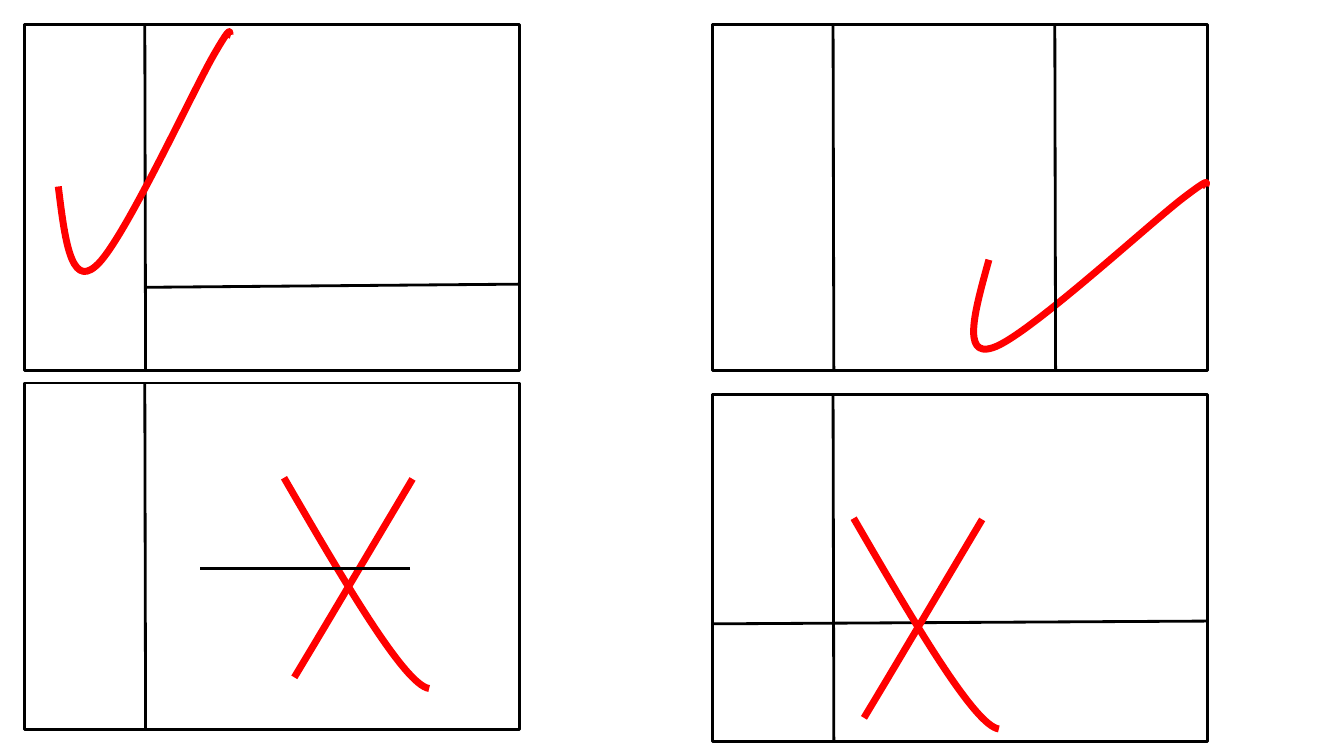
from dataclasses import dataclass

from lxml.etree import SubElement
from pptx import Presentation
from pptx.dml.color import RGBColor
from pptx.enum.shapes import MSO_CONNECTOR, MSO_SHAPE
from pptx.oxml.ns import qn
from pptx.util import Cm, Pt


@dataclass(frozen=True)
class Theme:
    frame_color: RGBColor = RGBColor(0x00, 0x00, 0x00)
    mark_color: RGBColor = RGBColor(0xFF, 0x00, 0x00)
    frame_width: float = 2
    mark_width: float = 5


@dataclass(frozen=True)
class Stroke:
    """A start point and three Bézier points per curve, inside a box."""
    width: float
    height: float
    points: tuple


PANEL_WIDTH, PANEL_HEIGHT = 12.48, 8.73
LEFT, RIGHT = 0.61, 17.96
TOP, LOWER_LEFT_TOP, LOWER_RIGHT_TOP = 0.61, 9.65, 9.95
DIVIDER_OFFSET, SLANT = 3.04, 0.02

TICK = Stroke(4.35, 6.02, (
    (0, 3.89), (0.16, 5.18), (0.31, 6.45), (0.94, 5.9),
    (1.6, 5.36), (3.36, 1.55), (3.91, 0.59),
    (4.47, -0.38), (4.27, 0.12), (4.35, 0.08)))
FALLING = Stroke(3.66, 5.31, ((0, 0), (1.52, 2.62), (3.05, 5.23), (3.66, 5.31)))
RISING = Stroke(2.98, 5, ((2.98, 0), (1.76, 2.05), (0.54, 4.11), (0, 5)))


class Sketch:
    def __init__(self, slide, theme):
        self.slide = slide
        self.theme = theme

    def style_line(self, line, color, width):
        line.color.rgb = color
        line.width = Pt(width)

    def line(self, x1, y1, x2, y2):
        connector = self.slide.shapes.add_connector(
            MSO_CONNECTOR.STRAIGHT, Cm(x1), Cm(y1), Cm(x2), Cm(y2))
        self.style_line(connector.line, self.theme.frame_color, self.theme.frame_width)
        SubElement(connector._element.spPr, qn("a:effectLst"))

    def panel(self, left, top):
        """Draw a frame with its vertical divider."""
        frame = self.slide.shapes.add_shape(
            MSO_SHAPE.RECTANGLE, Cm(left), Cm(top), Cm(PANEL_WIDTH), Cm(PANEL_HEIGHT))
        frame.fill.background()
        frame.shadow.inherit = False
        self.style_line(frame.line, self.theme.frame_color, self.theme.frame_width)
        self.divider(left + DIVIDER_OFFSET, top)

    def divider(self, x, top):
        self.line(x, top, x + SLANT, top + PANEL_HEIGHT)

    def stroke(self, left, top, stroke, rotation=0):
        """Span the box with a freeform, then give it the stroke's curves."""
        builder = self.slide.shapes.build_freeform(Cm(left), Cm(top))
        builder.add_line_segments(
            [(Cm(left + stroke.width), Cm(top + stroke.height))], close=False)
        shape = builder.convert_to_shape()
        outline = next(shape._element.iter(qn("a:path")))
        for segment in list(outline):
            outline.remove(segment)
        self.add_segment(outline, "a:moveTo", stroke.points[:1])
        for first in range(1, len(stroke.points), 3):
            self.add_segment(outline, "a:cubicBezTo", stroke.points[first:first + 3])
        shape.rotation = rotation
        shape.fill.background()
        shape.shadow.inherit = False
        self.style_line(shape.line, self.theme.mark_color, self.theme.mark_width)

    def add_segment(self, outline, tag, points):
        segment = SubElement(outline, qn(tag))
        for x, y in points:
            SubElement(segment, qn("a:pt"), x=str(int(Cm(x))), y=str(int(Cm(y))))

    def cross(self, left, top):
        self.stroke(left, top, FALLING)
        self.stroke(left + 0.26, top + 0.03, RISING)


def main():
    presentation = Presentation()
    presentation.slide_width, presentation.slide_height = Cm(33.88), Cm(19.05)
    slide = presentation.slides.add_slide(presentation.slide_layouts[6])
    sketch = Sketch(slide, Theme())

    for left, top in ((LEFT, TOP), (LEFT, LOWER_LEFT_TOP), (RIGHT, TOP)):
        sketch.panel(left, top)
    sketch.stroke(1.47, 0.81, TICK)
    sketch.stroke(25.1, 3.56, TICK, rotation=22.6)
    sketch.cross(7.16, 12.04)

    sketch.divider(26.59, TOP)
    sketch.line(LEFT + PANEL_WIDTH, 7.16, LEFT + DIVIDER_OFFSET, 7.24)
    sketch.line(10.34, 14.33, 5.03, 14.33)

    sketch.panel(RIGHT, LOWER_RIGHT_TOP)
    sketch.line(RIGHT + PANEL_WIDTH, 15.65, RIGHT, 15.72)
    sketch.cross(21.52, 13.06)

    presentation.save("out.pptx")


if __name__ == "__main__":
    main()
